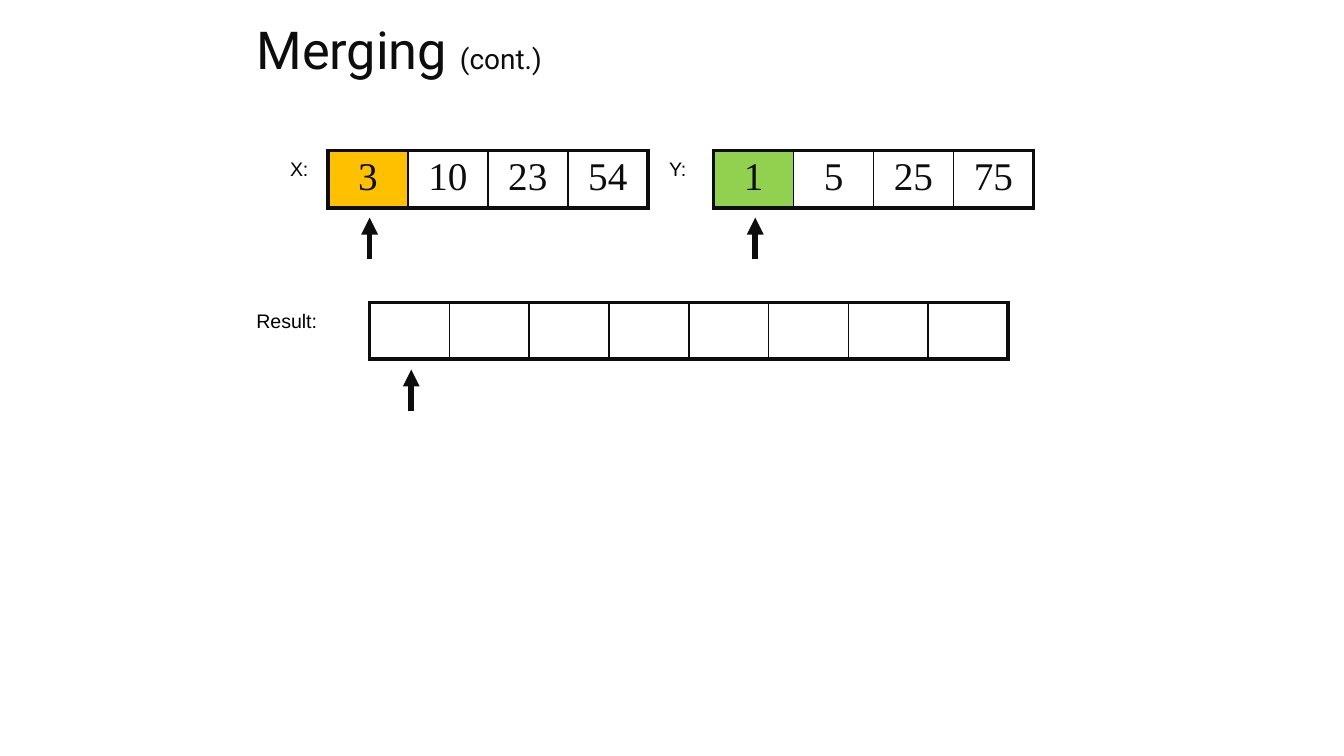
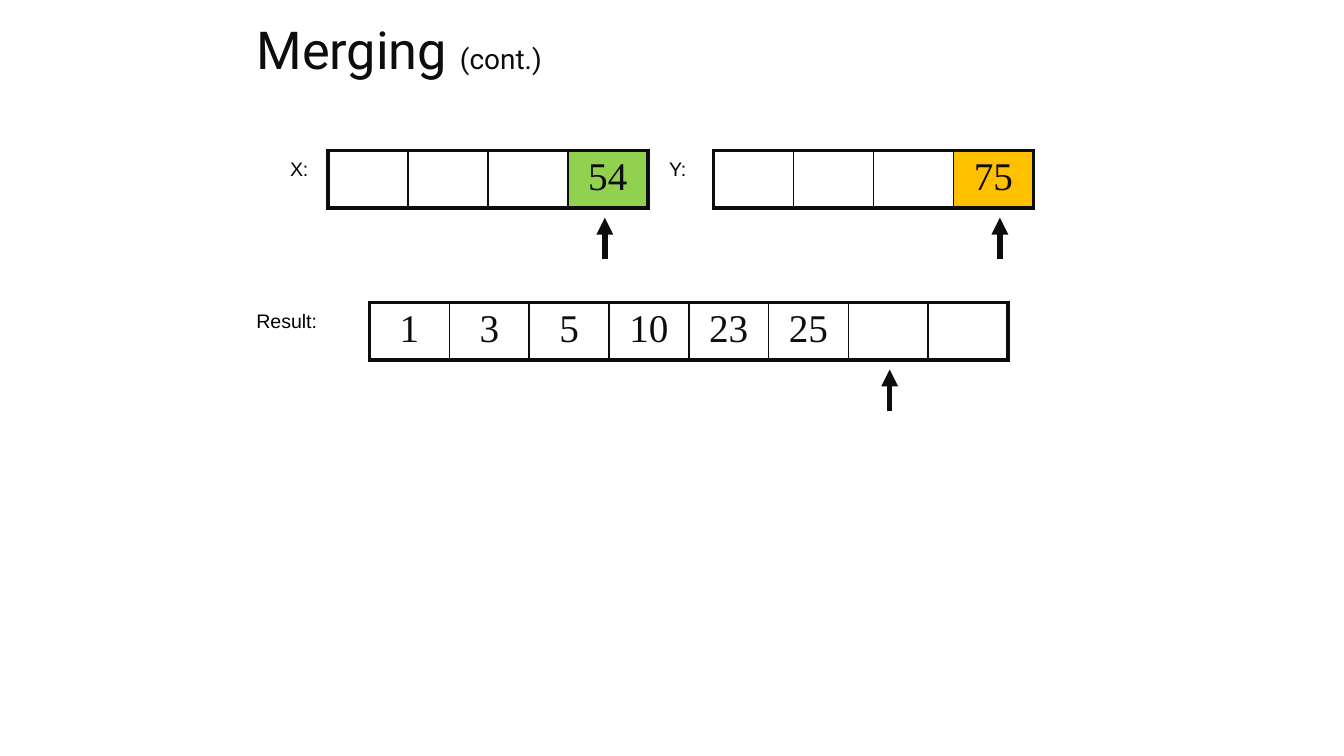
from dataclasses import dataclass

from lxml import etree
from pptx import Presentation
from pptx.dml.color import RGBColor
from pptx.enum.shapes import MSO_CONNECTOR
from pptx.enum.text import MSO_ANCHOR, PP_ALIGN
from pptx.oxml.ns import qn
from pptx.util import Inches, Pt

STRAIGHT = MSO_CONNECTOR.STRAIGHT
TOP = MSO_ANCHOR.TOP
LEFT, CENTER = PP_ALIGN.LEFT, PP_ALIGN.CENTER


@dataclass(frozen=True)
class Theme:
    ink: str = "0D0D0D"
    label: str = "000000"
    smaller: str = "92D050"
    larger: str = "FFC000"
    title_font: str = "Roboto"
    label_font: str = "Arial"
    number_font: str = "Times New Roman"
    title_size: float = 28
    subtitle_size: float = 15
    label_size: float = 10.5
    number_size: float = 21
    outer_line: float = 2.25
    inner_line: float = 1
    arrow_line: float = 3


T = Theme()
TITLE_BOX = (1.81, 0.12, 6.38, 0.62)
CELL_H = 0.42
ARROW_GAP, ARROW_LEN = 0.5, 0.31

# Row name: (label left, label width, array left, array top, array width, cells)
ROWS = {
    "X:": (2.06, 0.44, 2.44, 1.12, 2.38, 4),
    "Y:": (4.88, 0.44, 5.31, 1.12, 2.38, 4),
    "Result:": (1.81, 0.88, 2.75, 2.25, 4.75, 8),
}

# Per step and row: (values by index, {index: highlight}, pointer offset from array left)
STEPS = [
    {
        "X:": ({0: 3, 1: 10, 2: 23, 3: 54}, {0: T.larger}, 0.31),
        "Y:": ({0: 1, 1: 5, 2: 25, 3: 75}, {0: T.smaller}, 0.31),
        "Result:": ({}, {}, 0.31),
    },
    {
        "X:": ({3: 54}, {3: T.smaller}, 2.06),
        "Y:": ({3: 75}, {3: T.larger}, 2.13),
        "Result:": (dict(enumerate([1, 3, 5, 10, 23, 25])), {}, 3.87),
    },
]


def write(tf, runs, font, color, align=LEFT, spacing=None):
    """Fill the first paragraph with (text, size) runs."""
    p = tf.paragraphs[0]
    p.alignment = align
    if spacing:
        p.line_spacing = spacing
    for text, size in runs:
        r = p.add_run()
        r.text = text
        r.font.name = font
        r.font.size = Pt(size)
        r.font.color.rgb = RGBColor.from_string(color)


def add_text(s, box, runs, font, color, inset_y=0.05, spacing=None):
    tf = s.shapes.add_textbox(*map(Inches, box)).text_frame
    tf.word_wrap = True
    tf.vertical_anchor = TOP
    tf.margin_left = tf.margin_right = Inches(0.1)
    tf.margin_top = tf.margin_bottom = Inches(inset_y)
    write(tf, runs, font, color, spacing=spacing)


def add_title(s, box):
    runs = [("Merging ", T.title_size), ("(cont.)", T.subtitle_size)]
    add_text(s, box, runs, T.title_font, T.ink, inset_y=0.1, spacing=0.8)


def set_borders(cell, **widths):
    """Set border widths in points, given in the order L, R, T, B."""
    tcPr = cell._tc.get_or_add_tcPr()
    for i, (side, width) in enumerate(widths.items()):
        ln = etree.Element(qn(f"a:ln{side}"), w=str(Pt(width)))
        fill = etree.SubElement(ln, qn("a:solidFill"))
        etree.SubElement(fill, qn("a:srgbClr"), val=T.ink)
        tcPr.insert(i, ln)


def add_array(s, box, count, values, highlights):
    table = s.shapes.add_table(1, count, *map(Inches, box)).table
    table.first_row = table.horz_banding = False
    for i in range(count):
        table.columns[i].width = Inches(box[2] / count)
        cell = table.cell(0, i)
        cell.margin_left = cell.margin_right = Inches(0.07)
        cell.margin_top = cell.margin_bottom = Inches(0.04)
        if i in highlights:
            cell.fill.solid()
            cell.fill.fore_color.rgb = RGBColor.from_string(highlights[i])
        else:
            cell.fill.background()
        set_borders(
            cell,
            L=T.outer_line if i == 0 else T.inner_line,
            R=T.outer_line if i == count - 1 else T.inner_line,
            T=T.outer_line,
            B=T.outer_line,
        )
        if i in values:
            write(cell.text_frame, [(str(values[i]), T.number_size)],
                  T.number_font, T.ink, CENTER)


def add_pointer(s, x, top):
    """Draw an arrow pointing up, with its tip at (x, top)."""
    ends = (x, top + ARROW_LEN, x, top)
    arrow = s.shapes.add_connector(STRAIGHT, *map(Inches, ends))
    arrow.line.color.rgb = RGBColor.from_string(T.ink)
    arrow.line.width = Pt(T.arrow_line)
    etree.SubElement(arrow.line._get_or_add_ln(), qn("a:tailEnd"), type="triangle")
    etree.SubElement(arrow._element.spPr, qn("a:effectLst"))


def add_row(s, name, values, highlights, pointer):
    label_left, label_width, left, top, width, count = ROWS[name]
    add_array(s, (left, top, width, CELL_H), count, values, highlights)
    add_pointer(s, left + pointer, top + ARROW_GAP)
    add_text(s, (label_left, top, label_width, 0.28), [(name, T.label_size)],
             T.label_font, T.label)


def add_merge_slide(prs, step):
    s = prs.slides.add_slide(prs.slide_layouts[6])
    add_title(s, TITLE_BOX)
    for name, state in step.items():
        add_row(s, name, *state)


def main():
    prs = Presentation()
    prs.slide_width = Inches(10)
    prs.slide_height = prs.slide_width * 9 // 16
    for step in STEPS:
        add_merge_slide(prs, step)
    prs.save("out.pptx")


if __name__ == "__main__":
    main()
